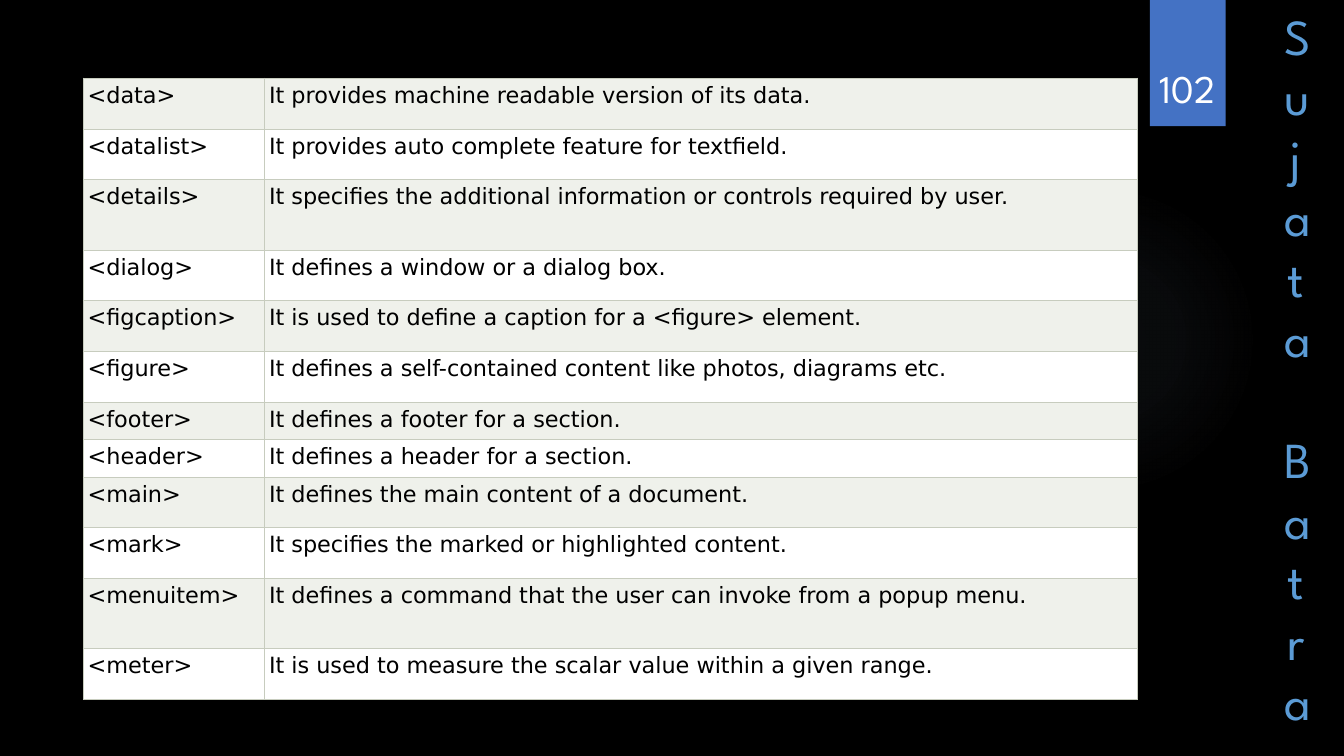
from pptx import Presentation
from pptx.dml.color import RGBColor
from pptx.enum.shapes import MSO_SHAPE
from pptx.enum.text import MSO_ANCHOR, PP_ALIGN
from pptx.oxml import parse_xml
from pptx.oxml.ns import nsdecls, qn
from pptx.util import Cm, Pt

HEADING_FONT = "League Spartan"
TABLE_FONT = "DejaVu Sans"
NORMAL, TALL, SHORT = 1.28, 1.77, 0.94  # row heights in cm

TAGS = [
    ("<data>", "It provides machine readable version of its data.", NORMAL),
    ("<datalist>", "It provides auto complete feature for textfield.", NORMAL),
    ("<details>", "It specifies the additional information or controls required by user.", TALL),
    ("<dialog>", "It defines a window or a dialog box.", NORMAL),
    ("<figcaption>", "It is used to define a caption for a <figure> element.", NORMAL),
    ("<figure>", "It defines a self-contained content like photos, diagrams etc.", NORMAL),
    ("<footer>", "It defines a footer for a section.", SHORT),
    ("<header>", "It defines a header for a section.", SHORT),
    ("<main>", "It defines the main content of a document.", NORMAL),
    ("<mark>", "It specifies the marked or highlighted content.", NORMAL),
    ("<menuitem>", "It defines a command that the user can invoke from a popup menu.", TALL),
    ("<meter>", "It is used to measure the scalar value within a given range.", NORMAL),
]


def color(value):
    return RGBColor.from_string(value)


def style(paragraph, font_name, size, value, alignment=None):
    paragraph.font.name = font_name
    paragraph.font.size = Pt(size)
    paragraph.font.color.rgb = color(value)
    paragraph.alignment = alignment


def add_plain_shape(slide, kind, left, top, width, height):
    """Add a shape without outline or shadow."""
    shape = slide.shapes.add_shape(kind, Cm(left), Cm(top), Cm(width), Cm(height))
    shape.shadow.inherit = False
    shape.line.fill.background()
    return shape


def add_glow(slide, left, top, size):
    """Add a faint round light that fades towards its edge."""
    glow = add_plain_shape(slide, MSO_SHAPE.OVAL, left, top, size, size)
    stops = "".join(
        f'<a:gs pos="{position * 1000}"><a:srgbClr val="8497B0">'
        f'<a:alpha val="{alpha * 1000}"/></a:srgbClr></a:gs>'
        for position, alpha in ((0, 7), (36, 6), (69, 0))
    )
    gradient = parse_xml(
        f'<a:gradFill {nsdecls("a")}><a:gsLst>{stops}</a:gsLst><a:path path="circle">'
        '<a:fillToRect l="50000" t="50000" r="50000" b="50000"/></a:path></a:gradFill>'
    )
    glow.element.spPr.find(qn("a:prstGeom")).addnext(gradient)


def add_page_tab(slide, left, top, width, height, number):
    tab = add_plain_shape(slide, MSO_SHAPE.RECTANGLE, left, top, width, height)
    tab.fill.solid()
    tab.fill.fore_color.rgb = color("4472C4")
    tab.element.spPr.find(qn("a:effectLst")).append(parse_xml(
        f'<a:outerShdw {nsdecls("a")} blurRad="{Pt(3)}" dist="{Pt(2)}" dir="5400000">'
        '<a:srgbClr val="000000"><a:alpha val="45000"/></a:srgbClr></a:outerShdw>'
    ))
    label = slide.shapes.add_textbox(
        Cm(left - 0.22), Cm(top + 0.81), Cm(width + 0.43), Cm(2.13))
    frame = label.text_frame
    frame.word_wrap = True
    frame.vertical_anchor = MSO_ANCHOR.BOTTOM
    frame.text = number
    style(frame.paragraphs[0], HEADING_FONT, 28, "FFFFFF", PP_ALIGN.CENTER)


def add_vertical_name(slide, left, top, width, height):
    """Add a name in a box so narrow that each letter takes its own line."""
    box = slide.shapes.add_textbox(Cm(left), Cm(top), Cm(width), Cm(height))
    frame = box.text_frame
    frame.word_wrap = True
    frame.text = "Sujata\n Batra"
    for paragraph in frame.paragraphs:
        style(paragraph, HEADING_FONT, 36, "5B9BD5", PP_ALIGN.CENTER)


def add_borders(cell):
    properties = cell._tc.get_or_add_tcPr()
    for side in ("lnL", "lnR", "lnT", "lnB"):
        properties.append(parse_xml(
            f'<a:{side} {nsdecls("a")} w="{Pt(0.75)}"><a:solidFill>'
            f'<a:srgbClr val="C7CCBE"/></a:solidFill></a:{side}>'
        ))


def add_tag_table(slide, left, top, column_widths):
    height = sum(row_height for _, _, row_height in TAGS)
    table = slide.shapes.add_table(
        len(TAGS), len(column_widths),
        Cm(left), Cm(top), Cm(sum(column_widths)), Cm(height)).table
    table.first_row = False
    table.horz_banding = False
    for column, width in zip(table.columns, column_widths):
        column.width = Cm(width)
    for index, (tag, description, row_height) in enumerate(TAGS):
        row = table.rows[index]
        row.height = Cm(row_height)
        for cell, text in zip(row.cells, (tag, description)):
            cell.margin_left = cell.margin_right = Cm(0.11)
            cell.margin_top = cell.margin_bottom = Cm(0.11)
            add_borders(cell)
            cell.fill.solid()
            cell.fill.fore_color.rgb = color("FFFFFF" if index % 2 else "EFF1EB")
            cell.text = text
            style(cell.text_frame.paragraphs[0], TABLE_FONT, 16, "000000")


def main():
    presentation = Presentation()
    presentation.slide_width = Cm(33.87)
    presentation.slide_height = Cm(19.05)
    slide = presentation.slides.add_slide(presentation.slide_layouts[6])
    slide.background.fill.solid()
    slide.background.fill.fore_color.rgb = color("000000")

    add_glow(slide, 23.9, 4.65, 7.82)
    add_vertical_name(slide, 32.11, 0, 1.09, 18.72)
    add_tag_table(slide, 2.1, 1.97, (4.57, 22))
    add_page_tab(slide, 28.98, 0, 1.91, 3.18, "102")
    presentation.save("out.pptx")


if __name__ == "__main__":
    main()
